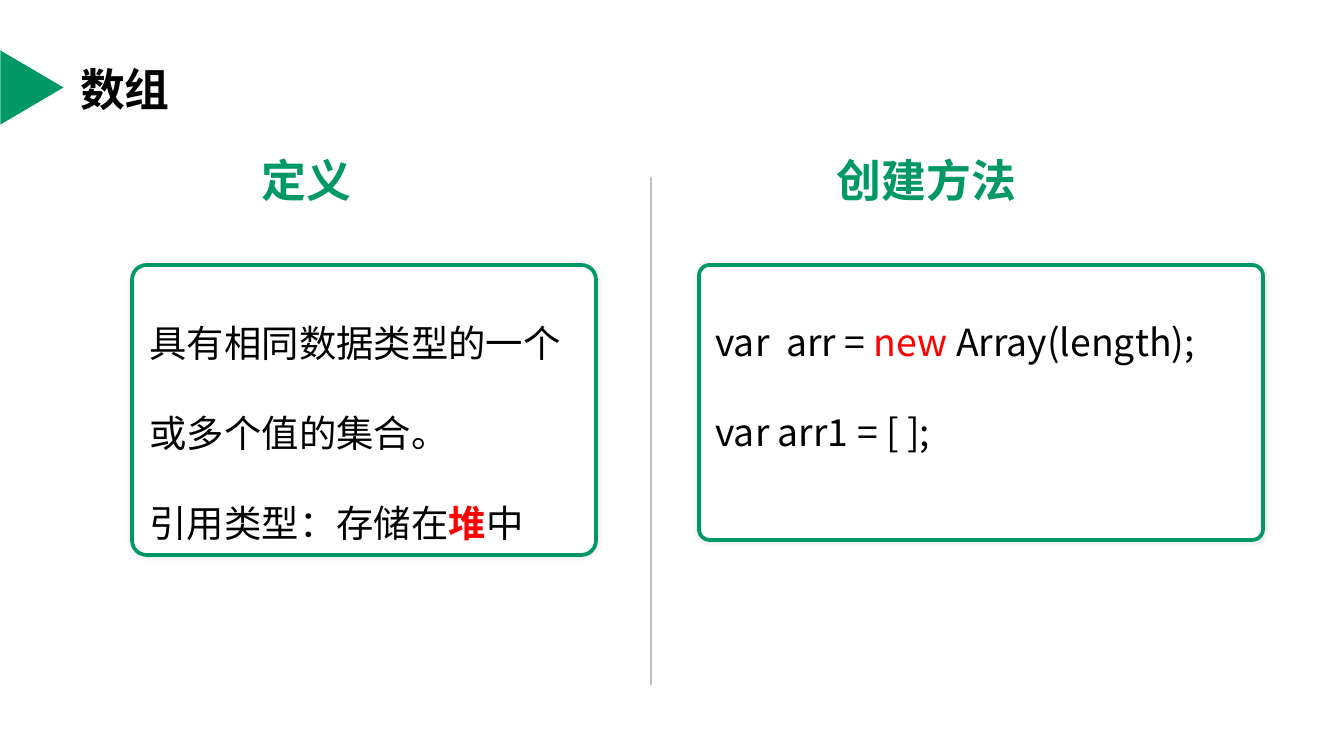
"""Build the slide on arrays: their definition beside the ways to create them."""
from lxml.etree import SubElement
from pptx import Presentation
from pptx.dml.color import RGBColor
from pptx.enum.shapes import MSO_CONNECTOR as Connector, MSO_SHAPE as Shape
from pptx.enum.text import MSO_ANCHOR as Anchor, PP_ALIGN as Align
from pptx.oxml.ns import qn
from pptx.util import Pt

THEME = {
    "font": "Noto Sans CJK SC",
    "green": "009966", "black": "000000", "red": "FF0000",
    "white": "FFFFFF", "grey": "BFBFBF",
    "heading": 24, "body": 20, "border": 2, "rule": 0.75,
}
TOPIC = "数组"
PANELS = [
    {
        "heading": "定义", "heading_left": 95,
        "card": (132, 265, 464, 290), "corner": 0.05,
        "lines": [
            [("具有相同数据类型的一个或多个值的集合。", "black", False)],
            [("引用类型：存储在", "black", False), ("堆", "red", True),
             ("中", "black", False)],
        ],
    },
    {
        "heading": "创建方法", "heading_left": 715,
        "card": (699, 265, 564, 275), "corner": 0.039,
        "lines": [
            [("var  arr = ", "black", False), ("new", "red", False),
             (" Array(length);", "black", False)],
            [("var arr1 = [ ];", "black", False)],
        ],
    },
]
EMU_PER_PIXEL = 914400 / 134.4


def px(*lengths):
    return [round(length * EMU_PER_PIXEL) for length in lengths]


def color(name):
    return RGBColor.from_string(THEME[name])


def write(frame, lines, size, anchor, align=Align.LEFT, spacing=1.0):
    frame.word_wrap = True
    frame.vertical_anchor = anchor
    for index, runs in enumerate(lines):
        paragraph = frame.add_paragraph() if index else frame.paragraphs[0]
        paragraph.alignment = align
        paragraph.line_spacing = spacing
        for text, tone, bold in runs:
            run = paragraph.add_run()
            run.text = text
            font = run.font
            font.name, font.size, font.bold = THEME["font"], Pt(THEME[size]), bold
            font.color.rgb = color(tone)
            east_asian = SubElement(run._r.get_or_add_rPr(), qn("a:ea"))
            east_asian.set("typeface", THEME["font"])


def add_heading(slide, text, tone, box, anchor, align):
    label = slide.shapes.add_textbox(*px(*box))
    write(label.text_frame, [[(text, tone, True)]], "heading", anchor, align)


def add_filled(slide, kind, box, fill):
    shape = slide.shapes.add_shape(kind, *px(*box))
    shape.shadow.inherit = False
    shape.fill.solid()
    shape.fill.fore_color.rgb = color(fill)
    return shape


def add_card(slide, panel):
    card = add_filled(slide, Shape.ROUNDED_RECTANGLE, panel["card"], "white")
    card.adjustments[0] = panel["corner"]
    card.line.color.rgb = color("green")
    card.line.width = Pt(THEME["border"])
    effects = card._element.spPr.find(qn("a:effectLst"))
    glow = SubElement(effects, qn("a:outerShdw"), blurRad=str(Pt(3)), dist="0",
                      algn="ctr", rotWithShape="0")
    tint = SubElement(glow, qn("a:srgbClr"), val=THEME["black"])
    SubElement(tint, qn("a:alpha"), val="10000")
    write(card.text_frame, panel["lines"], "body", Anchor.TOP, spacing=2.0)


deck = Presentation()
deck.slide_width, deck.slide_height = px(1344, 756)
slide = deck.slides.add_slide(deck.slide_layouts[6])

marker = add_filled(slide, Shape.ISOSCELES_TRIANGLE, (-5, 56, 74, 63), "green")
marker.rotation = 90
marker.line.fill.background()

divider = slide.shapes.add_connector(Connector.STRAIGHT, *px(651, 177, 651, 685))
divider.line.color.rgb = color("grey")
divider.line.width = Pt(THEME["rule"])
SubElement(divider._element.spPr, qn("a:effectLst"))

add_heading(slide, TOPIC, "black", (67, 51, 594, 71), Anchor.BOTTOM, Align.LEFT)
for panel in PANELS:
    add_heading(slide, panel["heading"], "green",
                (panel["heading_left"], 148, 423, 63), Anchor.MIDDLE, Align.CENTER)
    add_card(slide, panel)

deck.save("out.pptx")
